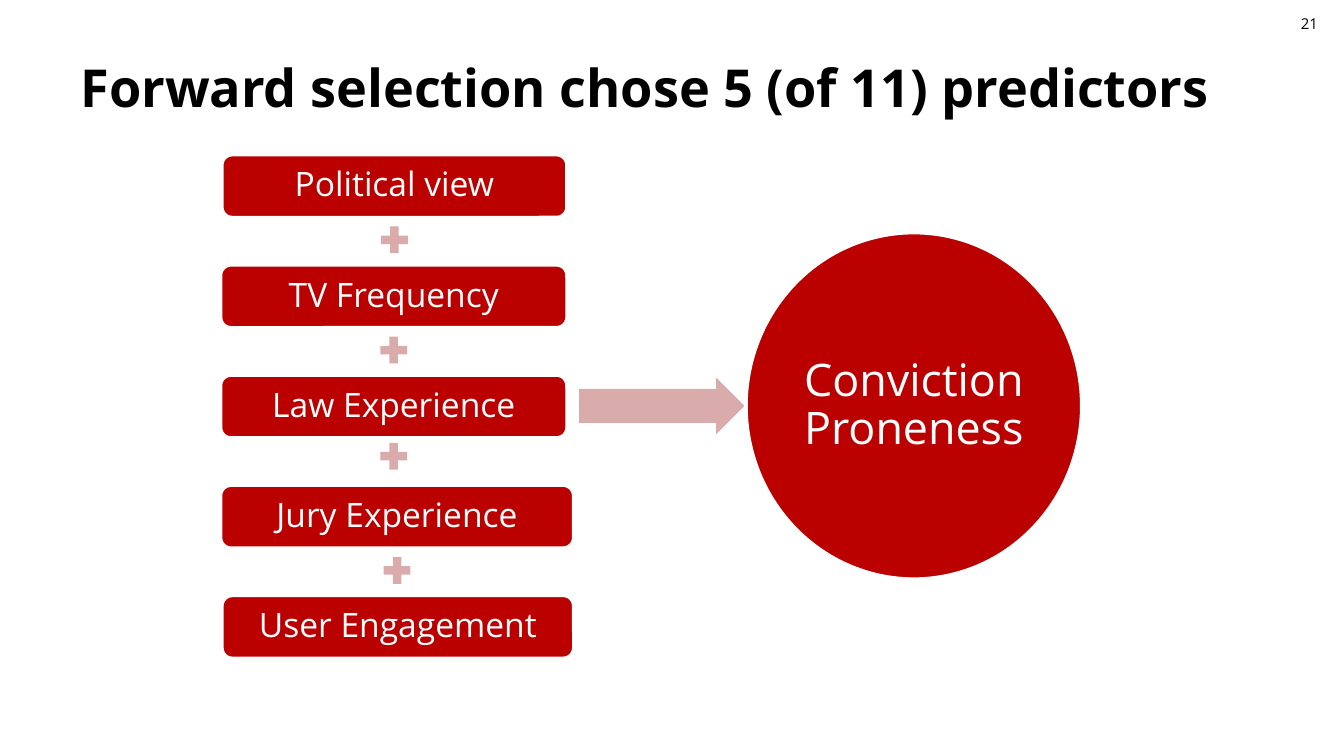
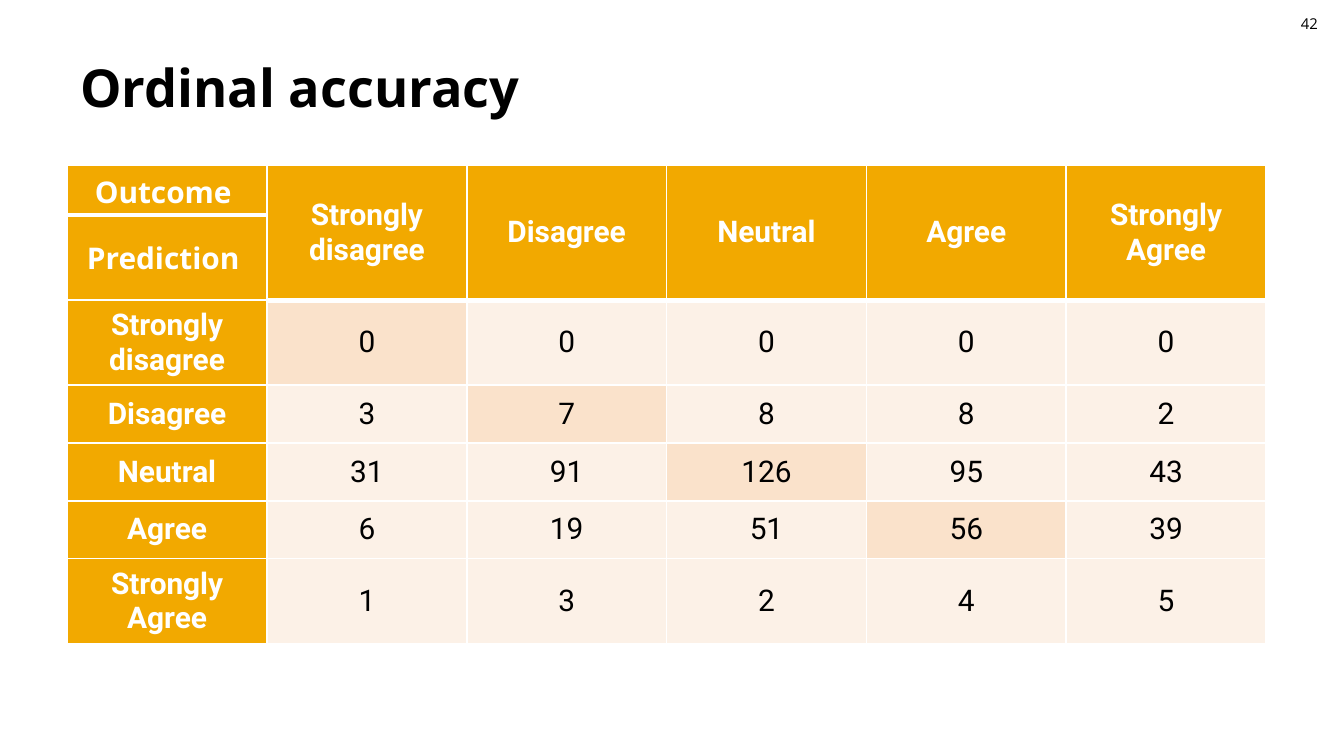
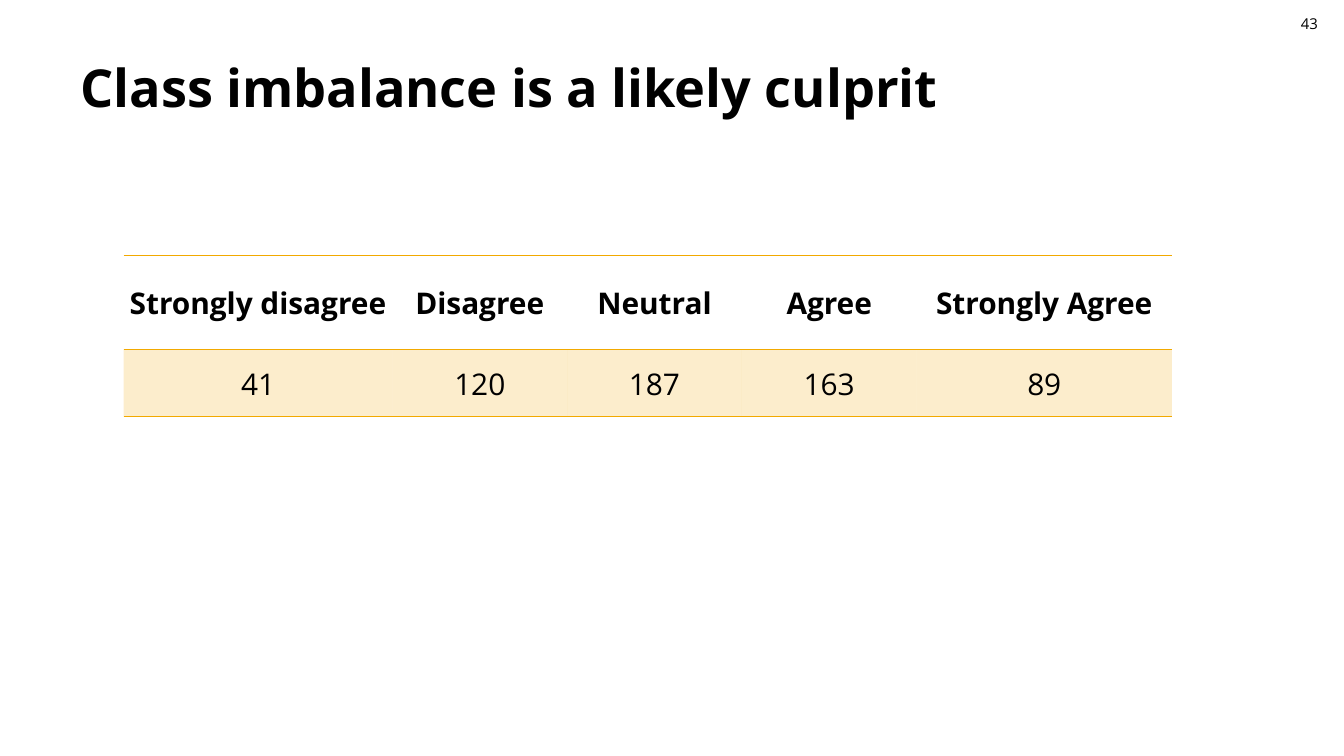
from dataclasses import dataclass

from lxml.etree import SubElement
from pptx import Presentation
from pptx.dml.color import RGBColor
from pptx.enum.shapes import MSO_SHAPE as Shape
from pptx.enum.text import MSO_ANCHOR as Anchor, PP_ALIGN as Align
from pptx.oxml.ns import qn
from pptx.util import Pt


@dataclass(frozen=True)
class Theme:
    black: str = "000000"
    white: str = "FFFFFF"
    red: str = "BB0000"
    pink: str = "DAABAB"
    gold: str = "F2A900"
    cream: str = "FCF1E7"
    peach: str = "FAE2CB"
    font: str = "Open Sans"
    table_font: str = "Roboto"
    number_size: float = 8
    title_size: float = 28
    box_size: float = 18
    circle_size: float = 24
    table_size: float = 16


THEME = Theme()
RATINGS = ["Strongly disagree", "Disagree", "Neutral", "Agree", "Strongly Agree"]
PREDICTORS = [
    ("Political view", 118.8, 185.04, 0),
    ("TV Frequency", 118.08, 185.76, 0),
    ("Law Experience", 118.08, 185.76, 2.16),
    ("Jury Experience", 118.08, 189.36, 0),
    ("User Engagement", 118.8, 188.64, 0),
]
CONFUSION = [
    [0, 0, 0, 0, 0],
    [3, 7, 8, 8, 2],
    [31, 91, 126, 95, 43],
    [6, 19, 51, 56, 39],
    [1, 3, 2, 4, 5],
]
CLASS_COUNTS = [41, 120, 187, 163, 89]


def write(frame, text, size, color, bold=False, font=THEME.font, align=Align.LEFT, spacing=None):
    para = frame.paragraphs[0]
    para.text = text
    para.alignment = align
    para.line_spacing = spacing
    para.font.name = font
    para.font.size = Pt(size)
    para.font.bold = bold
    para.font.color.rgb = RGBColor.from_string(color)


def add_text(page, text, left, top, width, height, size, bold=False, inset_top=3.6):
    frame = page.shapes.add_textbox(Pt(left), Pt(top), Pt(width), Pt(height)).text_frame
    frame.word_wrap = True
    frame.margin_top = Pt(inset_top)
    write(frame, text, size, THEME.black, bold)


def add_page(deck, title, number):
    page = deck.slides.add_slide(deck.slide_layouts[6])
    add_text(page, str(number), 689.76, 4.32, 30.24, 17.28, THEME.number_size)
    add_text(page, title, 36, 28.8, 648, 48.24, THEME.title_size, bold=True, inset_top=1)
    return page


def add_shape(page, kind, left, top, width, height, color):
    shape = page.shapes.add_shape(kind, Pt(left), Pt(top), Pt(width), Pt(height))
    shape.shadow.inherit = False
    shape.fill.solid()
    shape.fill.fore_color.rgb = RGBColor.from_string(color)
    shape.line.fill.background()
    return shape


def add_labelled_shape(page, kind, text, left, top, width, height, size):
    shape = add_shape(page, kind, left, top, width, height, THEME.red)
    shape.line.color.rgb = RGBColor.from_string(THEME.white)
    shape.line.width = Pt(2)
    frame = shape.text_frame
    frame.word_wrap = True
    frame.vertical_anchor = Anchor.MIDDLE
    frame.margin_left = frame.margin_right = Pt(2.16)
    frame.margin_top = frame.margin_bottom = Pt(2.16)
    write(frame, text, size, THEME.white, align=Align.CENTER, spacing=0.9)


def add_table(page, left, top, widths, heights):
    table = page.shapes.add_table(
        len(heights), len(widths), Pt(left), Pt(top), Pt(sum(widths)), Pt(sum(heights))
    ).table
    table.first_row = table.horz_banding = False
    for column, width in zip(table.columns, widths):
        column.width = Pt(width)
    for row, height in zip(table.rows, heights):
        row.height = Pt(height)
    return table


def set_borders(cell, color, left=0, right=0, top=0, bottom=0):
    properties = cell._tc.get_or_add_tcPr()
    for side, width in zip("LRTB", (left, right, top, bottom)):
        line = SubElement(properties, qn(f"a:ln{side}"), w=str(Pt(width)))
        if width:
            fill = SubElement(line, qn("a:solidFill"))
            SubElement(fill, qn("a:srgbClr"), val=color)
        else:
            SubElement(line, qn("a:noFill"))


def fill_cell(cell, color, opacity=100):
    cell.fill.solid()
    cell.fill.fore_color.rgb = RGBColor.from_string(color)
    if opacity < 100:
        shade = cell._tc.tcPr.find(qn("a:solidFill")).find(qn("a:srgbClr"))
        SubElement(shade, qn("a:alpha"), val=str(opacity * 1000))


def write_cell(cell, text, color, bold, font):
    cell.vertical_anchor = Anchor.MIDDLE
    write(cell.text_frame, text, THEME.table_size, color, bold, font, Align.CENTER)


def build_predictors(deck):
    page = add_page(deck, "Forward selection chose 5 (of 11) predictors", 21)
    first_top, pitch, plus_size = 82.8, 59.04, 19.44
    for index, (name, left, width, plus_lift) in enumerate(PREDICTORS):
        top = first_top + index * pitch
        add_labelled_shape(
            page, Shape.ROUNDED_RECTANGLE, name, left, top, width, 33.84, THEME.box_size
        )
        if index < len(PREDICTORS) - 1:
            plus_left = left + (width - plus_size) / 2
            add_shape(
                page, Shape.MATH_PLUS, plus_left, top + 36 - plus_lift,
                plus_size, plus_size, THEME.pink,
            )
    arrow = add_shape(page, Shape.RIGHT_ARROW, 310.32, 202.32, 88.56, 30.24, THEME.pink)
    arrow.adjustments[0] = 0.6
    add_labelled_shape(
        page, Shape.OVAL, "Conviction Proneness", 399.6, 124.56, 180, 185.76, THEME.circle_size
    )


def build_accuracy(deck):
    page = add_page(deck, "Ordinal accuracy", 42)
    heights = [26.64, 26.64, 43.92, 30.96, 30.96, 30.96, 43.92]
    table = add_table(page, 36, 88.56, [107.04] * 6, heights)
    for row in range(7):
        for column in range(6):
            cell = table.cell(row, column)
            rule_row = 2 if column else 1
            set_borders(
                cell, THEME.white, left=1, right=1,
                top=3 if row == rule_row else 1,
                bottom=3 if row in (0, rule_row - 1) else 1,
            )
            if row < 2 or column == 0:
                fill_cell(cell, THEME.gold)
            else:
                fill_cell(cell, THEME.peach if row - 1 == column < 5 else THEME.cream)
    for row, text in enumerate(["Outcome ", "Prediction "]):
        write_cell(table.cell(row, 0), text, THEME.white, True, THEME.font)
    for index, (rating, counts) in enumerate(zip(RATINGS, CONFUSION)):
        heading = table.cell(0, index + 1)
        heading.merge(table.cell(1, index + 1))
        for cell in (heading, table.cell(index + 2, 0)):
            write_cell(cell, rating, THEME.white, True, THEME.table_font)
        for column, count in enumerate(counts, 1):
            write_cell(
                table.cell(index + 2, column), str(count), THEME.black, False, THEME.table_font
            )


def build_imbalance(deck):
    page = add_page(deck, "Class imbalance is a likely culprit", 43)
    table = add_table(page, 66.24, 136.8, [144, 93.6, 93.6, 93.6, 136.8], [50.4, 36])
    for row, values in enumerate([RATINGS, CLASS_COUNTS]):
        for column, value in enumerate(values):
            cell = table.cell(row, column)
            cell.margin_left = cell.margin_right = cell.margin_top = Pt(0.72)
            cell.margin_bottom = Pt(0)
            set_borders(cell, THEME.gold, top=1, bottom=1)
            if row:
                fill_cell(cell, THEME.gold, opacity=20)
            else:
                cell.fill.background()
            write_cell(cell, str(value), THEME.black, row == 0, THEME.font)


def main():
    deck = Presentation()
    deck.slide_width, deck.slide_height = Pt(720), Pt(405)
    build_predictors(deck)
    build_accuracy(deck)
    build_imbalance(deck)
    deck.save("out.pptx")


if __name__ == "__main__":
    main()
